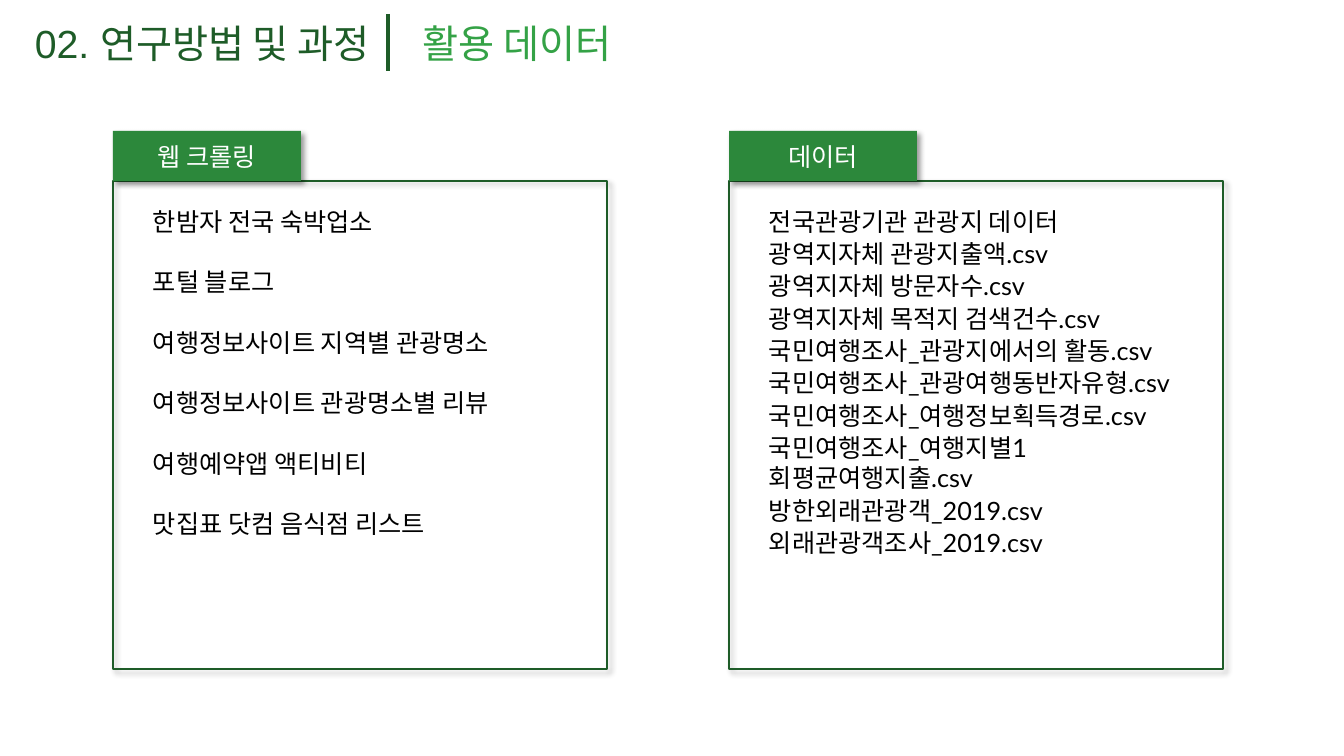
from pptx import Presentation
from pptx.dml.color import RGBColor
from pptx.enum.shapes import MSO_CONNECTOR as Link, MSO_SHAPE as Kind
from pptx.enum.text import MSO_ANCHOR as Anchor, PP_ALIGN as Align
from pptx.oxml import parse_xml
from pptx.util import Pt

SCALE = 914400 / 100.8
NS = 'xmlns:a="http://schemas.openxmlformats.org/drawingml/2006/main"'
DARK, MID, LIGHT = "1E5C28", "2C883B", "34A246"
BLACK, WHITE = "000000", "FFFFFF"

CRAWL = [
    "한밤자 전국 숙박업소",
    "포털 블로그",
    "여행정보사이트 지역별 관광명소",
    "여행정보사이트 관광명소별 리뷰",
    "여행예약앱 액티비티",
    "맛집표 닷컴 음식점 리스트",
]
FILES = [
    "전국관광기관 관광지 데이터",
    "광역지자체 관광지출액.csv",
    "광역지자체 방문자수.csv",
    "광역지자체 목적지 검색건수.csv",
    "국민여행조사_관광지에서의 활동.csv",
    "국민여행조사_관광여행동반자유형.csv",
    "국민여행조사_여행정보획득경로.csv",
    "국민여행조사_여행지별1회평균여행지출.csv",
    "방한외래관광객_2019.csv",
    "외래관광객조사_2019.csv",
]


def px(*nums):
    return [round(num * SCALE) for num in nums]


def color(code):
    return RGBColor.from_string(code)


def style(item, form):
    for key, value in form.items():
        setattr(item, key, value)


def write(frame, lines, face, size, tint, form, wrap=True):
    frame.word_wrap = wrap
    for i, line in enumerate(lines):
        para = frame.paragraphs[0] if i == 0 else frame.add_paragraph()
        style(para, form)
        run = para.add_run()
        run.text = line
        style(run.font, {"name": face, "size": Pt(size)})
        run.font.color.rgb = color(tint)


def label(slide, box, lines, face, size, tint, gap=0, wrap=True):
    text = slide.shapes.add_textbox(*px(*box))
    form = {"space_after": Pt(gap), "alignment": Align.LEFT}
    write(text.text_frame, lines, face, size, tint, form, wrap)


def block(slide, box):
    shape = slide.shapes.add_shape(Kind.RECTANGLE, *px(*box))
    shape.shadow.inherit = False
    shape._element.spPr.find("{*}effectLst").append(parse_xml(
        f'<a:outerShdw {NS} blurRad="50800" dist="38100" dir="2700000" '
        'algn="tl" rotWithShape="0"><a:srgbClr val="000000">'
        '<a:alpha val="40000"/></a:srgbClr></a:outerShdw>'))
    return shape


def header(slide, box):
    x, y, wide, high = box
    split = x + wide - 25
    label(slide, box, ["02. 연구방법 및 과정"], "Arial", 28, DARK, wrap=False)
    bar = slide.shapes.add_connector(
        Link.STRAIGHT, *px(split, y, split, y + high))
    bar.line.color.rgb = color(DARK)
    bar.line.width = Pt(2.25)
    bar._element.spPr.append(parse_xml(f"<a:effectLst {NS}/>"))
    label(slide, (x + wide, y, wide, high), ["활용 데이터"],
          "Calibri", 28, LIGHT)


def panel(slide, box, title, lines, gap):
    x, y, wide, high = box
    top = 50
    body = block(slide, (x, y + top, wide, high - top))
    body.fill.background()
    body.line.color.rgb = color(DARK)
    body.line.width = Pt(1)
    tab = block(slide, (x, y, 188, top))
    tab.fill.solid()
    tab.fill.fore_color.rgb = color(MID)
    tab.line.fill.background()
    tab.text_frame.vertical_anchor = Anchor.MIDDLE
    write(tab.text_frame, [title], "Roboto", 18, WHITE,
          {"alignment": Align.CENTER})
    label(slide, (x + 30, y + 70, wide - 54, high - 161), lines,
          "Lato", 18, BLACK, gap)


def main():
    deck = Presentation()
    wide, high = px(1344, 756)
    style(deck, {"slide_width": wide, "slide_height": high})
    slide = deck.slides.add_slide(deck.slide_layouts[6])
    header(slide, (25, 14, 388, 57))
    cards = [("웹 크롤링", CRAWL, 21.6), ("데이터", FILES, 1.5)]
    for i, (title, lines, gap) in enumerate(cards):
        panel(slide, (113 + 616 * i, 131, 494, 538), title, lines, gap)
    deck.save("out.pptx")


if __name__ == "__main__":
    main()
